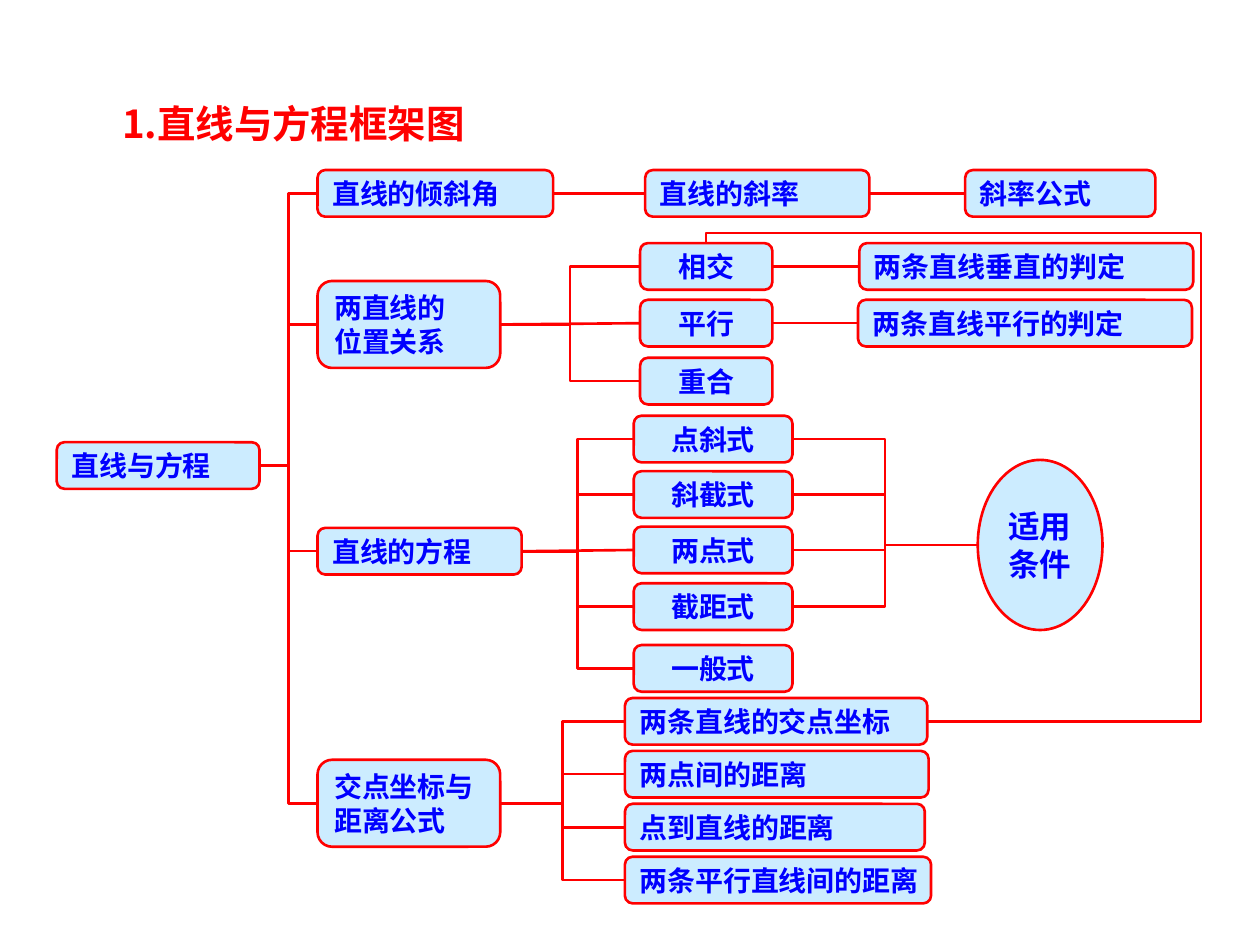
import pptx
import pptx.util
import pptx.dml.color
import pptx.enum.shapes
import pptx.enum.text
import pptx.oxml.ns
from lxml import etree

Inches = pptx.util.Inches
Pt = pptx.util.Pt
Kind = pptx.enum.shapes.MSO_SHAPE
Link = pptx.enum.shapes.MSO_CONNECTOR
Align = pptx.enum.text.PP_ALIGN
qn = pptx.oxml.ns.qn


def paint(color, code):
    color.rgb = pptx.dml.color.RGBColor.from_string(code)


def style(frame, size, face, code, align=Align.LEFT):
    for para in frame.paragraphs:
        para.alignment = align
        for run in para.runs:
            run.font.size = Pt(size)
            run.font.bold = True
            run.font.name = face
            paint(run.font.color, code)
            east = etree.SubElement(run.font._element, qn("a:ea"))
            east.set("typeface", "Noto Sans CJK SC")


deck = pptx.Presentation()
deck.slide_width = Inches(10)
deck.slide_height = Inches(7.5)
slide = deck.slides.add_slide(deck.slide_layouts[6])
shapes = slide.shapes

title = shapes.add_textbox(Inches(0.87), Inches(0.6), Inches(8.28), Inches(0.62))
title.text_frame.word_wrap = True
title.text_frame.text = "1.直线与方程框架图"
title.text_frame.paragraphs[0].line_spacing = 1.4
style(title.text_frame, 22, "Noto Sans CJK SC", "FF0000")

nodes = [
    ("root", "直线与方程", 0.45, 3.51, 1.61),
    ("angle", "直线的倾斜角", 2.52, 1.35, 1.87),
    ("slope", "直线的斜率", 5.12, 1.35, 1.78),
    ("rule", "斜率公式", 7.66, 1.35, 1.51),
    ("place", "两直线的\n位置关系", 2.52, 2.23, 1.45),
    ("right", "两条直线垂直的判定", 6.82, 1.93, 2.65),
    ("level", "两条直线平行的判定", 6.81, 2.38, 2.65),
    ("form", "直线的方程", 2.52, 4.19, 1.62),
    ("space", "交点坐标与\n距离公式", 2.52, 6.03, 1.45),
]
for name, top in zip(["相交", "平行", "重合"], [1.93, 2.38, 2.84]):
    nodes.append((name, name, 5.08, top, 1.05))
kinds = ["点斜式", "斜截式", "两点式", "截距式", "一般式"]
for name, top in zip(kinds, [3.3, 3.74, 4.18, 4.63, 5.12]):
    nodes.append((name, name, 5.03, top, 1.26))
spans = ["两条直线的交点坐标", "两点间的距离", "点到直线的距离", "两条平行直线间的距离"]
for i, (name, wide) in enumerate(zip(spans, [2.4, 2.41, 2.38, 2.43])):
    nodes.append((name, name, 4.96, 5.54 + 0.42 * i, wide))
nodes.append(("terms", "适用\n条件", 7.76, 3.65, 0.99))

boxes = {}
for key, text, left, top, wide in nodes:
    oval = key == "terms"
    tall = 1.35 if oval else 0.69 if "\n" in text else 0.37
    kind = Kind.OVAL if oval else Kind.ROUNDED_RECTANGLE
    box = shapes.add_shape(kind, Inches(left), Inches(top), Inches(wide), Inches(tall))
    box.shadow.inherit = False
    box.fill.solid()
    paint(box.fill.fore_color, "CCECFF")
    paint(box.line.color, "FF0000")
    box.line.width = Pt(1.5)
    frame = box.text_frame
    frame.word_wrap = False
    frame.vertical_anchor = pptx.enum.text.MSO_ANCHOR.MIDDLE
    frame.text = text
    mid = left in (5.03, 5.08)
    style(frame, 18 if oval else 16, "Arial", "0000FF", Align.CENTER if mid else Align.LEFT)
    boxes[key] = box

pairs = [("angle", "slope"), ("slope", "rule"), ("相交", "right"), ("平行", "level")]
pairs += [("root", key) for key in ("angle", "place", "form", "space")]
pairs += [("place", key) for key in ("相交", "平行", "重合")]
pairs += [("form", key) for key in kinds]
pairs += [("space", key) for key in spans]
pairs += [(key, "terms") for key in kinds[:4]]
flat = pairs[:4] + [("place", "平行"), ("form", "两点式")]

lines = []
for start, end in pairs:
    one, two = boxes[start], boxes[end]
    kind = Link.STRAIGHT if (start, end) in flat else Link.ELBOW
    line = shapes.add_connector(
        kind, one.left + one.width, one.top + one.height // 2, two.left, two.top + two.height // 2
    )
    if end != "terms":
        line.begin_connect(one, 3)
        line.end_connect(two, 1)
    lines.append(line)

cross = boxes["相交"]
point = boxes[spans[0]]
loop = shapes.add_connector(
    Link.ELBOW,
    point.left + point.width,
    point.top + point.height // 2,
    cross.left + cross.width // 2,
    cross.top,
)
geom = loop._element.spPr.find(qn("a:prstGeom"))
geom.set("prst", "bentConnector4")
guides = geom.find(qn("a:avLst"))
for name, size in [("adj1", -123800), ("adj2", 102100)]:
    etree.SubElement(guides, qn("a:gd"), name=name, fmla=f"val {size}")
lines.append(loop)

for line in lines:
    paint(line.line.color, "FF0000")
    line.line.width = Pt(1.5)
    etree.SubElement(line._element.spPr, qn("a:effectLst"))

deck.save("out.pptx")
